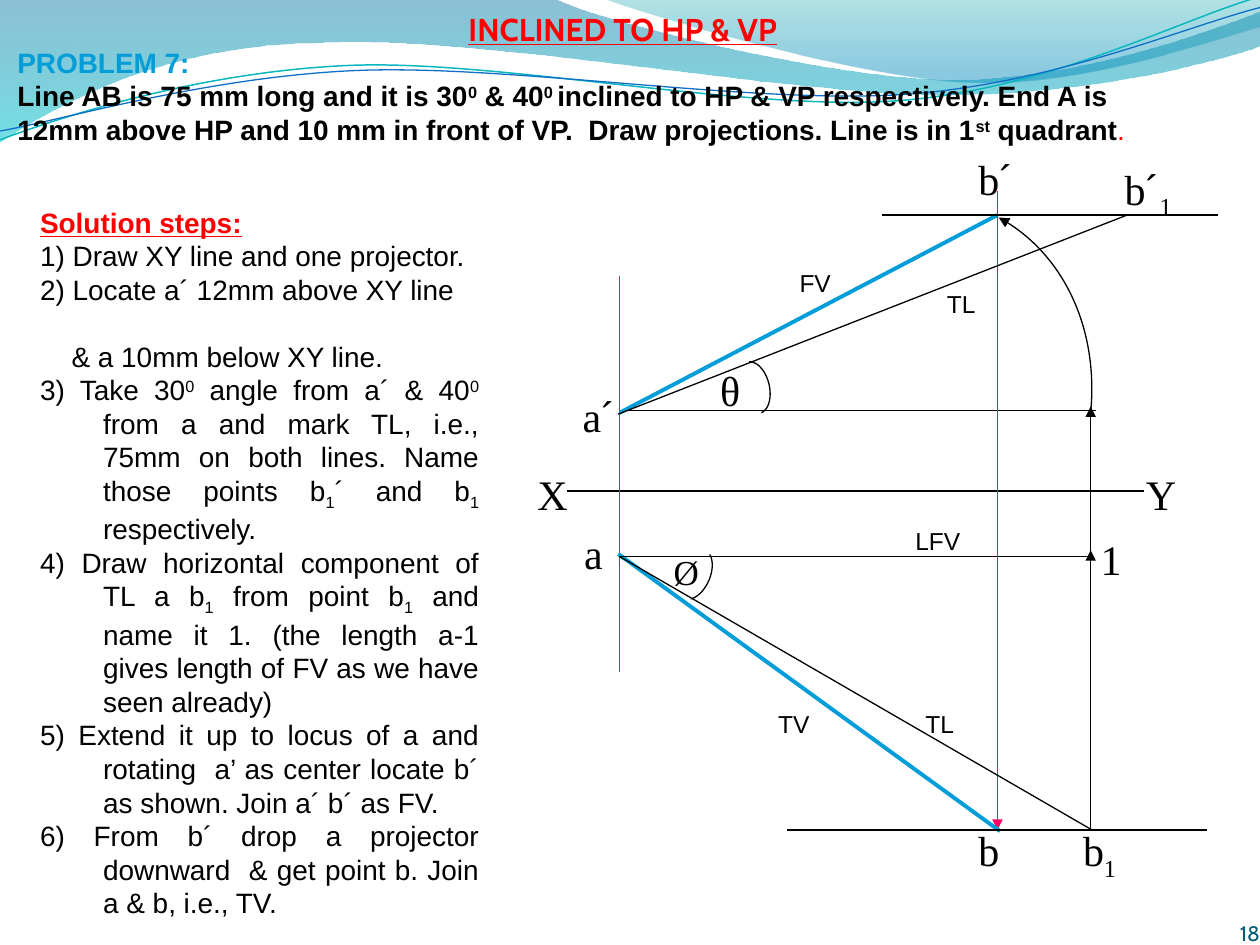
from dataclasses import dataclass

from lxml import etree
from pptx import Presentation
from pptx.dml.color import RGBColor
from pptx.enum.shapes import MSO_CONNECTOR, MSO_SHAPE
from pptx.enum.text import MSO_ANCHOR, PP_ALIGN
from pptx.oxml.ns import qn
from pptx.util import Cm, Pt

STRAIGHT = MSO_CONNECTOR.STRAIGHT
OVAL, RECT = MSO_SHAPE.OVAL, MSO_SHAPE.RECTANGLE
LEFT, RIGHT, JUSTIFY = PP_ALIGN.LEFT, PP_ALIGN.RIGHT, PP_ALIGN.JUSTIFY
TOP, BOTTOM = MSO_ANCHOR.TOP, MSO_ANCHOR.BOTTOM


@dataclass(frozen=True)
class Theme:
    black: str = "000000"
    white: str = "FFFFFF"
    red: str = "FF0000"
    pink: str = "FF0066"
    blue: str = "009DD9"
    teal: str = "045D75"
    sans: str = "Arial"
    serif: str = "Times New Roman"
    head: str = "Cabin"
    title: int = 18
    body: int = 16
    point: int = 24
    angle: int = 20
    note: int = 14
    page: int = 12
    thin: float = 0.75
    thick: float = 2.25


T = Theme()
# The first letter of a piece between bars can set its style.
MARKS = {"^": {"base": 30}, "_": {"base": -25}, "~": {"name": T.sans},
         "!": {"color": T.red, "bold": False}}


def unit(n):
    """Length of n grid units of 2.54 cm."""
    return Cm(2.54 * n)


def style(font, name=T.sans, size=T.body, color=T.black, bold=False,
          underline=False, base=0):
    values = {"name": name, "size": Pt(size), "bold": bold, "underline": underline}
    for key, value in values.items():
        setattr(font, key, value)
    font.color.rgb = RGBColor.from_string(color)
    if base:
        font._element.set("baseline", str(base * 1000))


def write(para, text, **look):
    for piece in text.split("|"):
        mark = MARKS.get(piece[0], {})
        run = para.add_run()
        run.text = piece[1:] if mark else piece
        style(run.font, **{**look, **mark})


def text_box(slide, box, lines, wrap=False, anchor=TOP, align=LEFT, inset=True):
    """Each line is a text and a dict of its look."""
    frame = slide.shapes.add_textbox(*map(unit, box)).text_frame
    frame.word_wrap, frame.vertical_anchor = wrap, anchor
    if not inset:
        for side in ("left", "top", "right", "bottom"):
            setattr(frame, "margin_" + side, 0)
    for i, (text, look) in enumerate(lines):
        para = frame.add_paragraph() if i else frame.paragraphs[0]
        para.alignment = align
        write(para, text, **look)
    return frame


def pen(shape, color, width, arrow=False):
    shape.line.color.rgb = RGBColor.from_string(color)
    shape.line.width = Pt(width)
    if arrow:
        etree.SubElement(shape.line._get_or_add_ln(), qn("a:tailEnd"), type="triangle")


def line(slide, start, end, color=T.black, width=T.thin, arrow=False):
    link = slide.shapes.add_connector(STRAIGHT, *map(unit, (*start, *end)))
    pen(link, color, width, arrow)
    etree.SubElement(link._element.spPr, qn("a:effectLst"))


def trace(slide, origin, start, parts, close=False):
    """Outline of parts with one point (straight) or three (cubic curve)."""
    def spot(x, y):
        return unit(origin[0] + x), unit(origin[1] + y)

    build = slide.shapes.build_freeform(*spot(*start))
    build.add_line_segments([spot(*p) for part in parts for p in part], close=close)
    shape = build.convert_to_shape()
    shape.shadow.inherit = False
    legs = iter(list(shape._element.iter(qn("a:lnTo"))))
    for part in parts:
        group = [next(legs) for _ in part]
        if len(part) == 3:
            curve = etree.Element(qn("a:cubicBezTo"))
            group[0].addprevious(curve)
            for leg in group:
                curve.append(leg[0])
                leg.getparent().remove(leg)
    return shape


def shade(shape, stops):
    """Downward gradient of (position, colour, opacity) stops."""
    shape.line.fill.background()
    shape.fill.gradient()
    shape.fill.gradient_angle = 270
    for stop, (place, color, alpha) in zip(shape.fill.gradient_stops, stops):
        stop.position = place
        stop.color.rgb = RGBColor.from_string(color)
        tint = stop._gs.find(qn("a:srgbClr"))
        etree.SubElement(tint, qn("a:alpha"), val=str(alpha * 1000))


def waves(slide, box):
    origin = box[:2]
    wide = [[(4.4, -0.01)],
            [(4.76, 0.17), (6.64, 0.63), (7.58, 0.63)],
            [(8.53, 0.63), (9.58, 0.26), (10, 0.09)],
            [(10.01, 0.36)],
            [(9.83, 0.44), (8.7, 0.76), (7.46, 0.75)],
            [(6.22, 0.75), (3.82, 0.28), (2.57, 0.34)],
            [(1.29, 0.35), (0.46, 0.83), (-0.01, 1.13)]]
    short = [[(5.09, 0.11), (6.82, 0.62), (7.69, 0.65)],
             [(8.56, 0.69), (9.61, 0.32), (10, 0.21)],
             [(10, 0)]]
    shade(trace(slide, origin, (0, -0.01), wide, True),
          [(0, "0074A1", 45), (1, "00C6CF", 55)])
    shade(trace(slide, origin, (4.79, -0.01), short, True),
          [(0, "00A1A9", 30), (0.8, "008BBF", 45)])
    strands = [
        ("0AB8BF", 0.85, (0, 1.11), [[(0.48, 0.93), (1.58, 0.57), (2.77, 0.52)],
                                     [(3.95, 0.47), (5.93, 0.89), (7.13, 0.8)],
                                     [(8.33, 0.71), (9.38, 0.15), (9.98, -0.02)]]),
        ("0F6FC6", 0.75, (0, 1.04), [[(0.47, 0.96), (1.64, 0.61), (2.83, 0.56)],
                                     [(4.03, 0.51), (5.97, 0.83), (7.17, 0.75)],
                                     [(8.36, 0.67), (9.41, 0.21), (10, 0.06)]])]
    for color, width, start, parts in strands:
        strand = trace(slide, origin, start, parts)
        strand.fill.background()
        pen(strand, color, width)


def diagram(slide, box):
    left, top = box[:2]

    def at(x, y):
        return left + x, top + y

    def mark(x, y, width, height, turn, kind, edge):
        shape = slide.shapes.add_shape(kind, *map(unit, (*at(x, y), width, height)))
        shape.rotation = turn
        shape.shadow.inherit = False
        shape.fill.solid()
        shape.fill.fore_color.rgb = RGBColor.from_string(T.white)
        pen(shape, edge, T.thin)

    # Each angle mark is an oval with its inner half masked.
    for x, y, turn, dx, dy in ((1.69, 1.7, 346.4, -0.1, -0.02), (1.22, 3.18, 23, -0.09, -0.1)):
        mark(x, y, 0.25, 0.42, turn, OVAL, T.black)
        mark(x + dx, y + dy, 0.25, 0.63, turn, RECT, T.white)

    base, drop, far = 0.75, 3.75, 4.49        # a, b and b1 across
    high, front, axis, plan, low = 0.54, 2.11, 2.73, 3.25, 5.42
    blue = {"color": T.blue, "width": T.thick}
    pink = {"color": T.pink}
    for start, end, look in (
            ((0.33, axis), (4.91, axis), {}),
            ((base, 1.02), (base, 4.17), pink),
            ((0.77, 2.09), (4.53, 2.09), {}),
            ((base, front), (drop, high), blue),
            ((drop, 0.35), (drop, low), {**pink, "arrow": True}),
            ((0.74, 3.23), (3.77, 5.43), blue),
            ((2.08, low), (5.41, low), {}),
            ((far, low), (far, 3.2), {"arrow": True}),
            ((base, plan), (4.5, plan), {}),
            ((base, plan), (4.5, low), {}),
            ((0.74, 2.12), (4.78, high), {}),
            ((2.83, high), (5.5, high), {}),
            ((far, 3.29), (far, 2.06), {"arrow": True})):
        line(slide, at(*start), at(*end), **look)

    swing = trace(slide, (left, top), (far, 2.1),
                  [[(4.55, 1.45), (4.26, 0.83), (3.76, 0.56)]])
    swing.fill.background()
    pen(swing, T.black, T.thin, True)

    point = {"name": T.serif, "size": T.point}
    note = {"size": T.note}
    for x, y, width, text, look in (
            (0.36, 1.88, 0.46, "a|~´", point), (3.5, 0, 0.48, "b|~´", point),
            (0.37, 2.97, 0.35, "a", point), (3.5, 5.33, 0.37, "b", point),
            (0, 2.5, 0.44, "X", point), (4.83, 2.5, 0.44, "Y", point),
            (4.66, 0.08, 0.61, "b|~´|_1", point), (4.33, 5.33, 0.48, "b|_1", point),
            (1.08, 3.15, 0.39, "Ø", {**point, "size": T.angle}),
            (1.45, 1.68, 0.38, "θ", point), (4.47, 3.02, 0.37, "1", point),
            (3, 2.96, 0.56, "LFV", note), (3.25, 1.08, 0.43, "TL", note),
            (3.08, 4.41, 0.43, "TL", note), (2.08, 0.91, 0.45, "FV", note),
            (1.91, 4.41, 0.45, "TV", note)):
        text_box(slide, (*at(x, y), width, 0.5 if look["size"] > T.note else 0.33),
                 [(text, look)])


def problem(slide, box):
    text_box(slide, box, [
        ("PROBLEM 7:", {"color": T.blue, "bold": True}),
        ("Line AB is 75 mm long and it is 30|^0| & 40|^0 |inclined to HP & VP respectively. "
         "End A is 12mm above HP and 10 mm in front of VP.  Draw projections. "
         "Line is in 1|^st| quadrant|!.", {"bold": True})], wrap=True)


def steps(slide, box):
    body = ("1) Draw XY line and one projector.",
            "2) Locate a´ 12mm above XY line",
            "& a 10mm below XY line.",
            "3) Take 30|^0| angle from a´ & 40|^0| from a and mark TL, i.e., 75mm on both lines. "
            "Name those points b|_1|´ and b|_1 |respectively.",
            "4) Draw horizontal component of TL a b|_1| from point b|_1| and name it 1. "
            "(the length a-1 gives length of FV as we have seen already)",
            "5) Extend it up to locus of a and rotating  a’ as center locate b´ as shown. "
            "Join a´ b´ as FV.",
            "6) From b´ drop a projector downward  & get point b. Join a & b, i.e., TV.")
    head = ("Solution steps:", {"color": T.red, "bold": True, "underline": True})
    frame = text_box(slide, box, [head] + [(text, {}) for text in body],
                     wrap=True, align=JUSTIFY)
    for para in frame.paragraphs:
        more = para.text.startswith("&")
        props = para._p.get_or_add_pPr()
        props.set("marL", str(unit(0.25 if more else 0.5)))
        props.set("indent", str(0 if more else -unit(0.5)))
    frame.paragraphs[0].alignment = LEFT
    frame.paragraphs[2].space_after = Pt(19)


def main():
    deck = Presentation()
    deck.slide_width, deck.slide_height = unit(10), unit(7.5)
    slide = deck.slides.add_slide(deck.slide_layouts[6])
    waves(slide, (0, 0, 10, 1.13))
    diagram(slide, (25 / 6, 7 / 6, 5.5, 5.83))
    problem(slide, (0.04, 0.31, 9.54, 0.91))
    steps(slide, (0.22, 1.58, 3.68, 5.49))
    text_box(slide, (7.75, 7.11, 2.25, 0.4),
             [("18", {"name": T.head, "size": T.page, "color": T.teal})],
             wrap=True, anchor=BOTTOM, align=RIGHT, inset=False)
    text_box(slide, (3.62, 0.03, 2.7, 0.4),
             [("INCLINED TO HP & VP", {"name": T.head, "size": T.title, "color": T.red,
                                       "bold": True, "underline": True})], wrap=True)
    deck.save("out.pptx")


if __name__ == "__main__":
    main()
